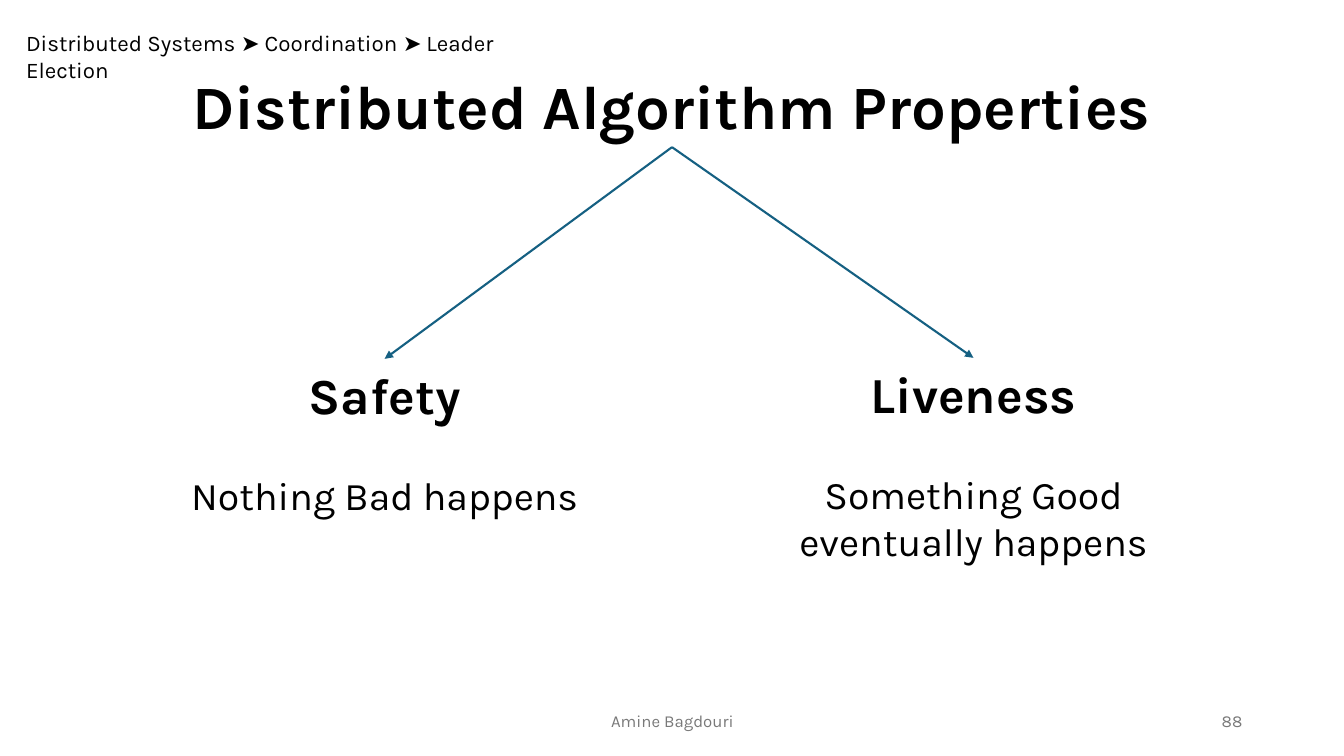
from lxml.etree import SubElement
from pptx import Presentation
from pptx.dml.color import RGBColor
from pptx.enum.shapes import MSO_CONNECTOR as Connector
from pptx.enum.text import MSO_ANCHOR as Anchor, PP_ALIGN as Align
from pptx.oxml.ns import qn
from pptx.util import Inches, Pt

FONT, BLACK, GREY, BLUE = "Karla", "000000", "797979", "156082"
TITLE = "Distributed Algorithm Properties"
BREADCRUMB = "Distributed Systems ➤ Coordination ➤ Leader Election"
AUTHOR, PAGE = "Amine Bagdouri", "88"
PROPERTIES = [
    ("Safety", "Nothing Bad happens", (1.13, 3.56, 5.37, 1.65)),
    ("Liveness", "Something Good eventually happens", (7.47, 3.55, 4.37, 2.12)),
]
GAP = 33.7
TITLE_BOX = (0, 0.62, 13.33, 0.84)


def color(value):
    return RGBColor.from_string(value)


def add_text(slide, box, lines, align, anchor=Anchor.TOP, ink=BLACK):
    frame = slide.shapes.add_textbox(*map(Inches, box)).text_frame
    frame.word_wrap = True
    frame.vertical_anchor = anchor
    for index, (text, size, bold) in enumerate(lines):
        line = frame.add_paragraph() if index else frame.paragraphs[0]
        line.alignment = align
        if index:
            line.space_before = Pt(GAP)
        run = line.add_run()
        run.text = text
        run.font.name = FONT
        run.font.size = Pt(size)
        run.font.bold = bold
        run.font.color.rgb = color(ink)


def add_arrow(slide, start, end):
    arrow = slide.shapes.add_connector(Connector.STRAIGHT, *map(Inches, start + end))
    arrow.line.color.rgb = color(BLUE)
    arrow.line.width = Pt(1.5)
    SubElement(arrow.line._get_or_add_ln(), qn("a:tailEnd"), type="triangle")
    SubElement(arrow._element.spPr, qn("a:effectLst"))


def main():
    deck = Presentation()
    deck.slide_width, deck.slide_height = Inches(13.33), Inches(7.5)
    slide = deck.slides.add_slide(deck.slide_layouts[6])

    add_text(slide, TITLE_BOX, [(TITLE, 44, True)], Align.CENTER)
    add_text(slide, (0.16, 0.24, 5.57, 0.37), [(BREADCRUMB, 16, False)], Align.LEFT)
    add_text(slide, (4.42, 6.95, 4.5, 0.4), [(AUTHOR, 12, False)], Align.CENTER, Anchor.MIDDLE, GREY)
    add_text(slide, (9.42, 6.95, 3, 0.4), [(PAGE, 12, False)], Align.RIGHT, Anchor.MIDDLE, GREY)

    left, top, width, height = TITLE_BOX
    root = (left + width / 2, top + height)
    for name, meaning, box in PROPERTIES:
        add_text(slide, box, [(name, 36, True), (meaning, 28, False)], Align.CENTER)
        add_arrow(slide, root, (box[0] + box[2] / 2, box[1]))

    deck.save("out.pptx")


if __name__ == "__main__":
    main()
